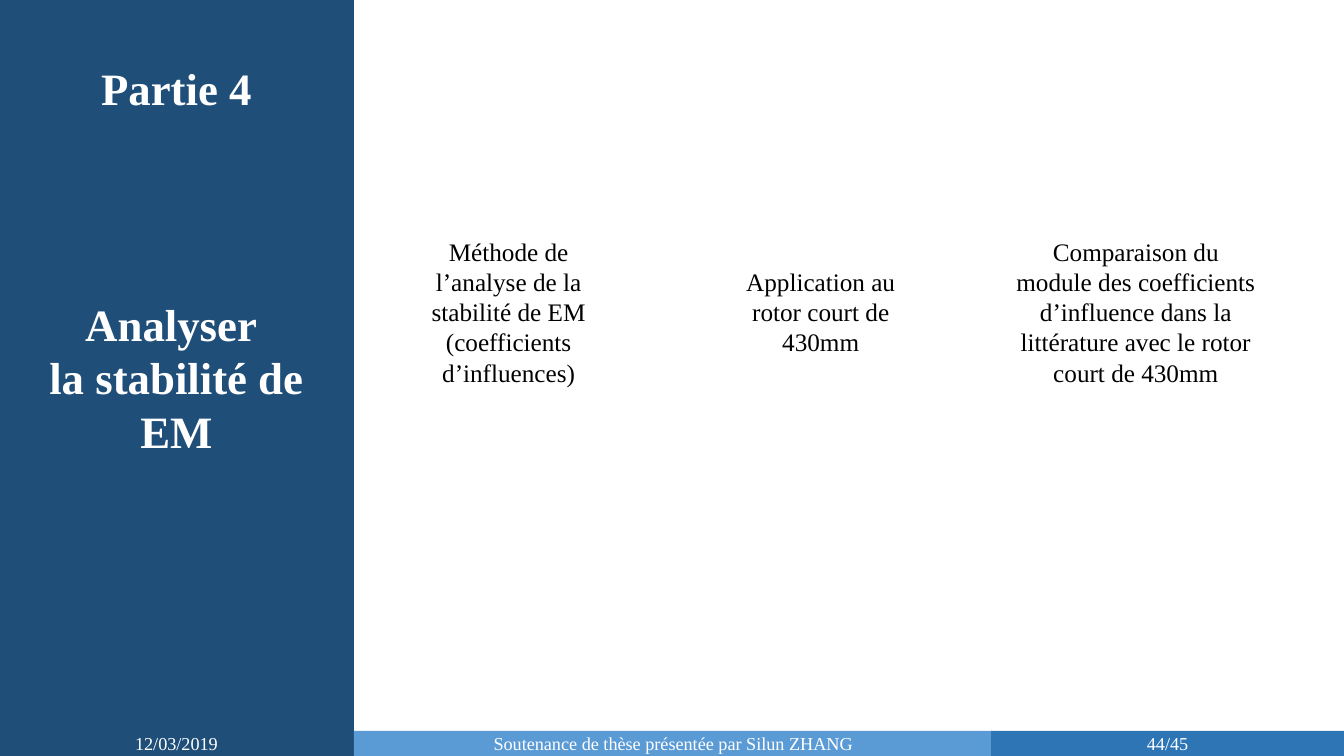
from pptx import Presentation
from pptx import util as u
from pptx.dml.color import RGBColor
from pptx.enum import shapes, text

WIDTH, HEIGHT = 13.33, 7.5
SIDE, FOOTER = 3.5, 0.25


def color(value):
    """Turn a hex string into a colour."""
    return RGBColor.from_string(value)


def write(shape, words, size=18, ink="000000", bold=False, wrap=True):
    """Write centred text, one paragraph per line, into a shape."""
    frame = shape.text_frame
    frame.word_wrap = wrap
    frame.vertical_anchor = text.MSO_ANCHOR.MIDDLE
    frame.text = words
    for para in frame.paragraphs:
        para.alignment = text.PP_ALIGN.CENTER
        for span in para.runs:
            span.font.name = "Times New Roman"
            span.font.size = u.Pt(size)
            span.font.bold = bold
            span.font.color.rgb = color(ink)


def add_text(page, left, top, width, height, words, **style):
    """Add a text box with formatted text."""
    box = page.shapes.add_textbox(*map(u.Inches, (left, top, width, height)))
    write(box, words, **style)


def add_panel(page, left, top, width, height, fill):
    """Add a plain filled rectangle without outline."""
    panel = page.shapes.add_shape(
        shapes.MSO_SHAPE.RECTANGLE, *map(u.Inches, (left, top, width, height)))
    panel.shadow.inherit = False
    panel.fill.solid()
    panel.fill.fore_color.rgb = color(fill)
    panel.line.fill.background()
    return panel


def add_sidebar(page, left, top, width, height):
    """Draw the dark side panel with the part number and its title."""
    panel = add_panel(page, left, top, width, height, "1F4E79")
    panel.line.color.rgb = color("1F4E79")
    panel.line.width = u.Pt(1)
    heading = dict(size=32, ink="FFFFFF", bold=True)
    add_text(page, left + 0.07, top + 2.88, width - 0.14, 1.72,
             "Analyser \nla stabilité de EM", **heading)
    add_text(page, left + 0.9, top + 0.55, width - 1.8, 0.64,
             "Partie 4", wrap=False, **heading)


def add_footer(page, left, top, width, height):
    """Draw the footer cells for date, talk and page number."""
    cells = [
        (0, SIDE, "1F4E79", "12/03/2019"),
        (SIDE + 0.01, width - 2 * SIDE, "5B9BD5",
         "Soutenance de thèse présentée par Silun ZHANG"),
        (width - SIDE, SIDE, "2E75B6", "44/45"),
    ]
    for offset, span_width, fill, words in cells:
        cell = add_panel(page, left + offset, top, span_width, height, fill)
        write(cell, words, size=13, ink="FFFFFF")


def add_topics(page, left, top, width, height):
    """Place the three topics, centred vertically in the band."""
    topics = [
        (0, 1.99, "Méthode de l’analyse de la stabilité de EM\n"
                  "(coefficients d’influences)"),
        (2.9, 2.38, "Application au\vrotor court de 430mm"),
        (width - 2.65, 2.65, "Comparaison du module des coefficients d’influence "
                             "dans la littérature avec le rotor court de 430mm"),
    ]
    for offset, topic_width, words in topics:
        add_text(page, left + offset, top, topic_width, height, words)


def main():
    """Build the slide and save it."""
    deck = Presentation()
    deck.slide_width, deck.slide_height = u.Inches(WIDTH), u.Inches(HEIGHT)
    page = deck.slides.add_slide(deck.slide_layouts[6])
    add_sidebar(page, 0, 0, SIDE, HEIGHT)
    add_footer(page, 0, HEIGHT - FOOTER, WIDTH, FOOTER)
    add_topics(page, 4.05, 2.28, 8.54, 1.62)
    deck.save("out.pptx")


if __name__ == "__main__":
    main()
